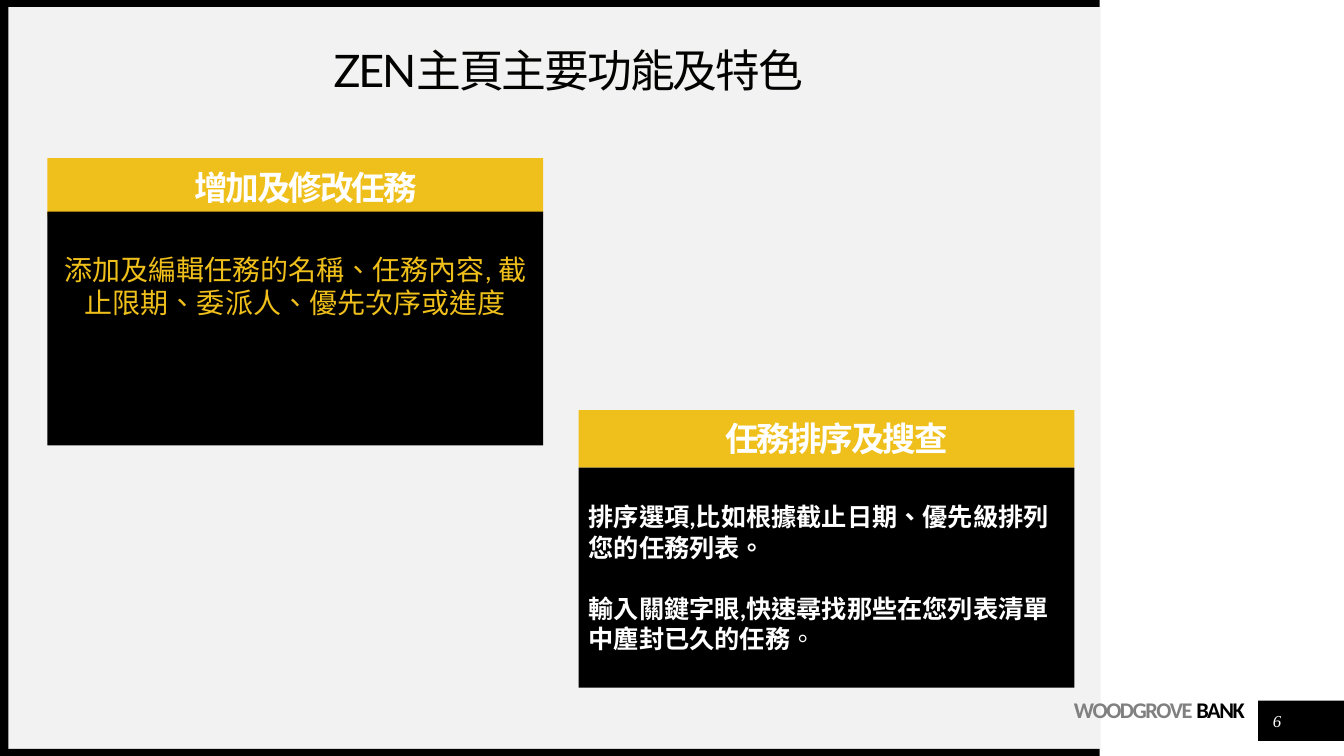
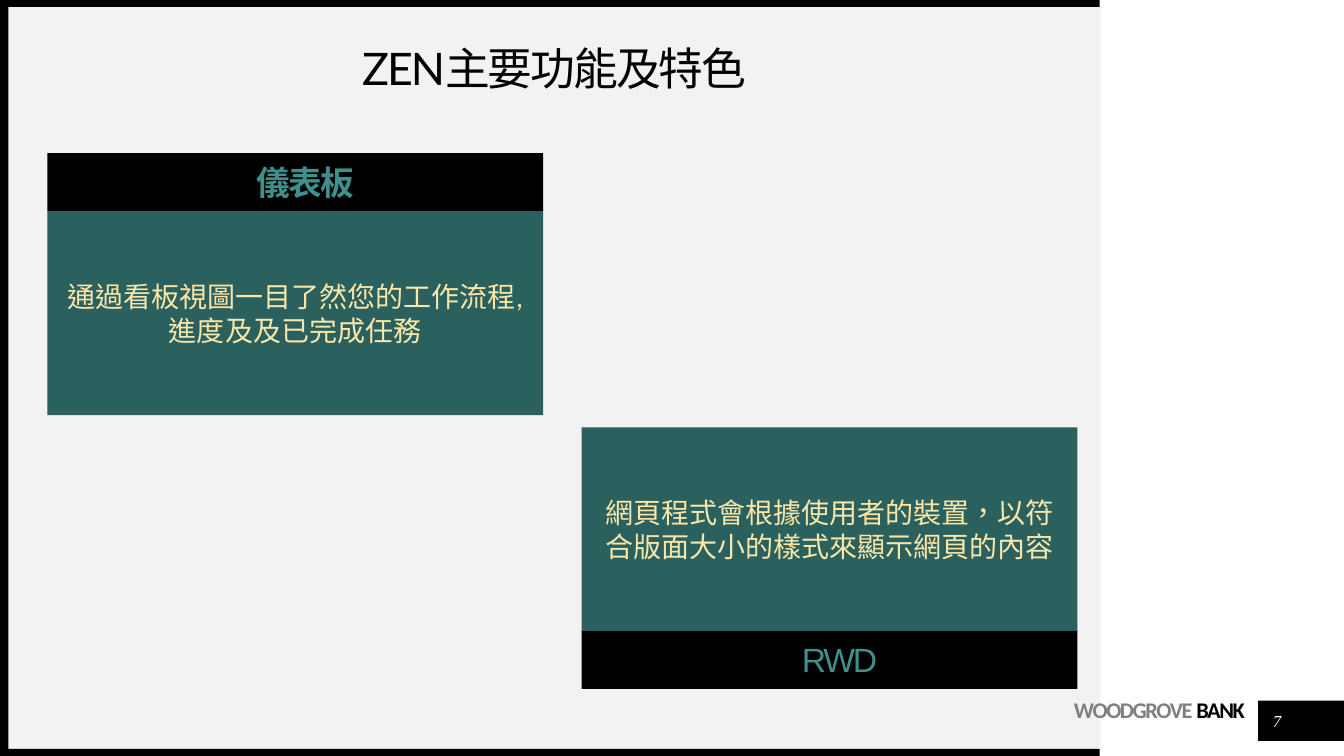
from dataclasses import dataclass, replace

from pptx import Presentation
from pptx.dml.color import RGBColor
from pptx.enum.shapes import MSO_SHAPE
from pptx.enum.text import MSO_ANCHOR, MSO_AUTO_SIZE, PP_ALIGN
from pptx.oxml.ns import qn
from pptx.util import Pt

RECTANGLE = MSO_SHAPE.RECTANGLE
MIDDLE, TOP = MSO_ANCHOR.MIDDLE, MSO_ANCHOR.TOP
LEFT, CENTER, RIGHT = PP_ALIGN.LEFT, PP_ALIGN.CENTER, PP_ALIGN.RIGHT
NO_AUTOFIT = MSO_AUTO_SIZE.NONE

WHITE = RGBColor(0xFF, 0xFF, 0xFF)
BLACK = RGBColor(0x00, 0x00, 0x00)
PANEL_GRAY = RGBColor(0xF2, 0xF2, 0xF2)
BRAND_GRAY = RGBColor(0x80, 0x80, 0x80)
TITLE_INK = RGBColor(0x02, 0x03, 0x01)
YELLOW = RGBColor(0xEF, 0xBF, 0x1B)
CREAM = RGBColor(0xF9, 0xE6, 0xA8)
TEAL = RGBColor(0x3F, 0x90, 0x8C)
DARK_TEAL = RGBColor(0x2A, 0x60, 0x5D)

COMPARISON_LAYOUT = 4
FIRST_FOOTER_INDEX = 10
CARD_WIDTH = 354.2
HEADING_INSETS = (14.4, 2.9, 0, 0)
BODY_INSETS = (7.2, 3.6, 7.2, 3.6)
NO_INSETS = (0, 0, 0, 0)


@dataclass(frozen=True)
class Area:
    left: float
    top: float
    width: float
    height: float


@dataclass(frozen=True)
class TextStyle:
    font: dict
    alignment: PP_ALIGN = CENTER
    line_spacing: float = 1.0
    space_before: float = 0
    paragraph_gap: float = 0
    tracking: int = 0
    insets: tuple = NO_INSETS
    anchor: MSO_ANCHOR = MIDDLE


@dataclass(frozen=True)
class Span:
    text: str
    changes: dict


@dataclass(frozen=True)
class Block:
    area: Area
    fill: RGBColor
    style: TextStyle
    paragraphs: list


@dataclass(frozen=True)
class Card:
    heading: Block
    body: Block


@dataclass(frozen=True)
class Page:
    number: int
    title: str
    title_area: Area
    cards: list


def make_font(name: str, size: float, color: RGBColor, bold: bool = False, italic: bool = False) -> dict:
    return {"name": name, "size": Pt(size), "color": color, "bold": bold, "italic": italic}


TITLE_STYLE = TextStyle(make_font("Lato", 32, TITLE_INK), line_spacing=0.9, tracking=-150)
NUMBER_STYLE = TextStyle(make_font("Times New Roman", 12, WHITE, italic=True))
BRAND_STYLE = TextStyle(
    make_font("Calibri", 16, BRAND_GRAY, bold=True), alignment=RIGHT, line_spacing=Pt(14),
    tracking=-100, insets=(0, 2.9, 0, 0), anchor=TOP,
)
YELLOW_HEADING = TextStyle(
    make_font("Arial", 24, WHITE, bold=True), line_spacing=0.9, space_before=10,
    tracking=-150, insets=HEADING_INSETS,
)
TEAL_HEADING = replace(YELLOW_HEADING, font=make_font("Arial", 24, TEAL, bold=True))
PLAIN_TEAL_HEADING = replace(YELLOW_HEADING, font=make_font("Arial", 24, TEAL))
RAISED_BODY = TextStyle(make_font("Calibri", 20, YELLOW), insets=(7.2, 3.6, 7.2, 64.5))
LIST_BODY = TextStyle(
    make_font("Calibri", 18, WHITE, bold=True), alignment=LEFT, paragraph_gap=22, insets=BODY_INSETS,
)
CREAM_BODY = TextStyle(make_font("Calibri", 20, CREAM), insets=BODY_INSETS)

PANEL = Area(5.8, 5, 780.5, 530)
BANDS = [
    Area(898.6, 500.4, 61.4, 28.8),
    Area(0, 535, 785.5, 5),
    Area(0, 0, 785.5, 5),
    Area(0, 0, 6, 540),
]
BRAND_AREA = Area(758.2, 499.7, 131, 31.7)
NUMBER_AREA = Area(901.4, 504, 21.6, 21.6)

PAGES = [
    Page(6, "ZEN主頁主要功能及特色", Area(43.9, 35.3, 724.3, 33.8), [
        Card(
            Block(Area(33.8, 113, CARD_WIDTH, 41.8), YELLOW, YELLOW_HEADING, ["增加及修改任務"]),
            Block(Area(33.8, 151.2, CARD_WIDTH, 167), BLACK, RAISED_BODY,
                  ["添加及編輯任務的名稱、任務內容, 截止限期、委派人、優先次序或進度"]),
        ),
        Card(
            Block(Area(413.3, 293, CARD_WIDTH, 41.1), YELLOW, YELLOW_HEADING, ["任務排序及搜查"]),
            Block(Area(413.3, 334.1, CARD_WIDTH, 157), BLACK, LIST_BODY, [
                "排序選項,比如根據截止日期、優先級排列您的任務列表。",
                [Span("輸入關鍵字眼,快速尋找那些在您列表清單中塵封已久的任務", {}),
                 Span("。", {"bold": False})],
            ]),
        ),
    ]),
    Page(7, "ZEN主要功能及特色", Area(33.8, 33.8, 724.3, 33.8), [
        Card(
            Block(Area(33.8, 109.4, CARD_WIDTH, 41.8), BLACK, TEAL_HEADING, ["儀表板"]),
            Block(Area(33.8, 151.2, CARD_WIDTH, 145.4), DARK_TEAL, CREAM_BODY,
                  ["通過看板視圖一目了然您的工作流程,進度及及已完成任務"]),
        ),
        Card(
            Block(Area(415.4, 450.2, CARD_WIDTH, 41.8), BLACK, PLAIN_TEAL_HEADING, ["RWD"]),
            Block(Area(415.4, 305.2, CARD_WIDTH, 145.4), DARK_TEAL, CREAM_BODY,
                  ["網頁程式會根據使用者的裝置，以符合版面大小的樣式來顯示網頁的內容"]),
        ),
    ]),
]


def points(area: Area) -> list:
    return [Pt(value) for value in (area.left, area.top, area.width, area.height)]


def place(box, area: Area) -> None:
    box.left, box.top, box.width, box.height = points(area)


def paint(box, color: RGBColor) -> None:
    box.fill.solid()
    box.fill.fore_color.rgb = color
    box.line.fill.background()


def add_span(para, text: str, font: dict, tracking: int) -> None:
    span = para.add_run()
    span.text = text
    for name, value in font.items():
        if name == "color":
            span.font.color.rgb = value
        else:
            setattr(span.font, name, value)
    properties = span._r.get_or_add_rPr()
    properties.set("lang", "zh-TW")
    if tracking:
        properties.set("spc", str(tracking))


def remove_bullet(para) -> None:
    properties = para._p.get_or_add_pPr()
    properties.set("marL", "0")
    properties.set("indent", "0")
    properties.append(properties.makeelement(qn("a:buNone"), {}))


def write(box, paragraphs: list, style: TextStyle) -> None:
    frame = box.text_frame
    frame.word_wrap = True
    frame.auto_size = NO_AUTOFIT
    frame.vertical_anchor = style.anchor
    for side, inset in zip(("left", "top", "right", "bottom"), style.insets):
        setattr(frame, f"margin_{side}", Pt(inset))
    for index, content in enumerate(paragraphs):
        para = frame.add_paragraph() if index else frame.paragraphs[0]
        para.alignment = style.alignment
        para.line_spacing = style.line_spacing
        para.space_before = Pt(style.paragraph_gap if index else style.space_before)
        para.space_after = Pt(0)
        remove_bullet(para)
        spans = [Span(content, {})] if isinstance(content, str) else content
        for span in spans:
            add_span(para, span.text, {**style.font, **span.changes}, style.tracking)


def add_text(slide, area: Area, paragraphs: list, style: TextStyle):
    box = slide.shapes.add_textbox(*points(area))
    write(box, paragraphs, style)
    return box


def add_band(slide, area: Area, color: RGBColor):
    band = slide.shapes.add_shape(RECTANGLE, *points(area))
    band.shadow.inherit = False
    paint(band, color)
    return band


def furnish_layout(layout, slide) -> None:
    for holder in list(layout.placeholders):
        if holder.placeholder_format.idx >= FIRST_FOOTER_INDEX:
            holder.element.getparent().remove(holder.element)
    brand = [Span("WOODGROVE ", {}), Span("BANK", {"color": BLACK})]
    furniture = [add_band(slide, PANEL, PANEL_GRAY)]
    furniture += [add_band(slide, area, BLACK) for area in BANDS]
    furniture.append(add_text(slide, BRAND_AREA, [brand], BRAND_STYLE))
    for item in furniture:
        layout.shapes.element.append(item.element)


def fill_block(holder, block: Block) -> None:
    place(holder, block.area)
    paint(holder, block.fill)
    write(holder, block.paragraphs, block.style)


def fill_page(slide, page: Page) -> None:
    title = slide.shapes.title
    place(title, page.title_area)
    write(title, [page.title], TITLE_STYLE)
    for index, card in enumerate(page.cards):
        fill_block(slide.placeholders[2 * index + 1], card.heading)
        fill_block(slide.placeholders[2 * index + 2], card.body)
    add_text(slide, NUMBER_AREA, [str(page.number)], NUMBER_STYLE)


def main() -> None:
    deck = Presentation()
    deck.slide_width, deck.slide_height = Pt(960), Pt(540)
    layout = deck.slide_layouts[COMPARISON_LAYOUT]
    slides = [deck.slides.add_slide(layout) for _ in PAGES]
    furnish_layout(layout, slides[0])
    for slide, page in zip(slides, PAGES):
        fill_page(slide, page)
    deck.save("out.pptx")


if __name__ == "__main__":
    main()
